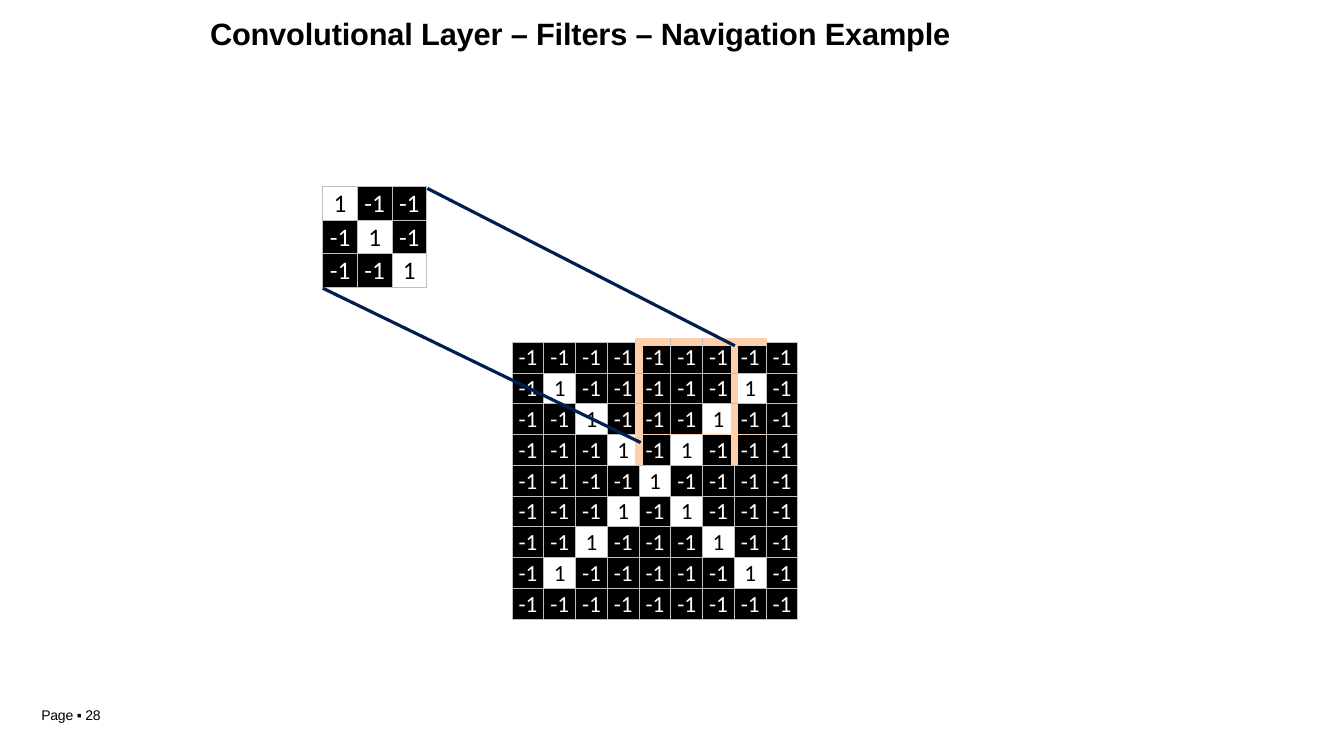
from lxml import etree
from pptx import Presentation
from pptx.dml.color import RGBColor
from pptx.enum.shapes import MSO_CONNECTOR
from pptx.enum.text import MSO_ANCHOR, PP_ALIGN
from pptx.oxml.ns import qn
from pptx.util import Pt

STRAIGHT = MSO_CONNECTOR.STRAIGHT
TOP = MSO_ANCHOR.TOP
LEFT, CENTER = PP_ALIGN.LEFT, PP_ALIGN.CENTER
COLORS = {"black": "000000", "white": "FFFFFF", "grid": "BEBEBE",
          "window": "FDCFAA", "navy": "001F50"}


def set_text(tf, text, size, font="Arial", color="black", bold=False,
             align=LEFT, top=0, spacing=-10, wrap=True):
    tf.margin_left = tf.margin_right = tf.margin_bottom = 0
    tf.margin_top = Pt(top)
    tf.vertical_anchor = TOP
    tf.word_wrap = wrap
    p = tf.paragraphs[0]
    p.alignment = align
    r = p.add_run()
    r.text = text
    r.font.size = Pt(size)
    r.font.name = font
    r.font.bold = bold
    r.font.color.rgb = RGBColor.from_string(COLORS[color])
    r.font._element.set("spc", str(spacing))


def set_border(tcPr, index, side, color, width):
    ln = etree.Element(qn(f"a:ln{side}"), w=str(Pt(width)))
    fill = etree.SubElement(ln, qn("a:solidFill"))
    etree.SubElement(fill, qn("a:srgbClr"), val=COLORS[color])
    tcPr.insert(index, ln)


prs = Presentation()
prs.slide_width, prs.slide_height = Pt(960), Pt(540)
s = prs.slides.add_slide(prs.slide_layouts[5])

THIN, THICK = ("window", 0.75), ("window", 6)
WINDOW_BORDERS = {}
for row in range(4):
    for col in (4, 7):
        WINDOW_BORDERS[row, col, "L"] = THICK
        WINDOW_BORDERS[row, col - 1, "R"] = THICK
for col in range(4, 8):
    WINDOW_BORDERS[0, col, "T"] = THICK
    WINDOW_BORDERS[2, col, "B"] = THIN
    WINDOW_BORDERS[3, col, "T"] = THIN

filter_ones = {(i, i) for i in range(3)}
image_ones = {(i, j) for i in range(1, 8) for j in (i, 8 - i)}
GRIDS = [
    (3, filter_ones, 230.6, 133.4, 24.7, 24, 18, {}),
    (9, image_ones, 365.8, 244.4, 22.7, 22, 16.5, WINDOW_BORDERS),
]
for n, ones, x, y, cell_w, cell_h, size, borders in GRIDS:
    table = s.shapes.add_table(n, n, Pt(x), Pt(y), Pt(cell_w * n), Pt(cell_h * n)).table
    table.first_row = table.horz_banding = False
    for i in range(n):
        table.columns[i].width = Pt(cell_w)
        table.rows[i].height = Pt(cell_h)
    for row in range(n):
        for col in range(n):
            cell = table.cell(row, col)
            is_one = (row, col) in ones
            cell.margin_left = cell.margin_right = cell.margin_bottom = 0
            cell.margin_top = Pt(1.4)
            p = cell.text_frame.paragraphs[0]
            p.alignment = CENTER
            r = p.add_run()
            r.text = "1" if is_one else "-1"
            r.font.size = Pt(size)
            r.font.name = "Calibri"
            r.font.color.rgb = RGBColor.from_string(COLORS["black" if is_one else "white"])
            cell.fill.solid()
            cell.fill.fore_color.rgb = RGBColor.from_string(COLORS["white" if is_one else "black"])
            for index, side in enumerate("LRTB"):
                color, width = borders.get((row, col, side), ("grid", 0.75))
                set_border(cell._tc.get_or_add_tcPr(), index, side, color, width)

for x1, y1, x2, y2 in [(524.9, 247, 305.3, 134.6), (457.6, 316.1, 230.6, 205.9)]:
    line = s.shapes.add_connector(STRAIGHT, Pt(x1), Pt(y1), Pt(x2), Pt(y2))
    line.line.color.rgb = RGBColor.from_string(COLORS["navy"])
    line.line.width = Pt(2.28)
    etree.SubElement(line._element.spPr, qn("a:effectLst"))

title = s.shapes.title
title.left, title.top, title.width, title.height = Pt(150), Pt(8.6), Pt(538.6), Pt(27.4)
set_text(title.text_frame, "Convolutional Layer – Filters – Navigation Example", 22,
         bold=True, top=1.8)

page = s.shapes.add_textbox(Pt(29.5), Pt(504.7), Pt(48.2), Pt(12.2))
set_text(page.text_frame, "Page ▪ 28", 10, wrap=False)

prs.save("out.pptx")
